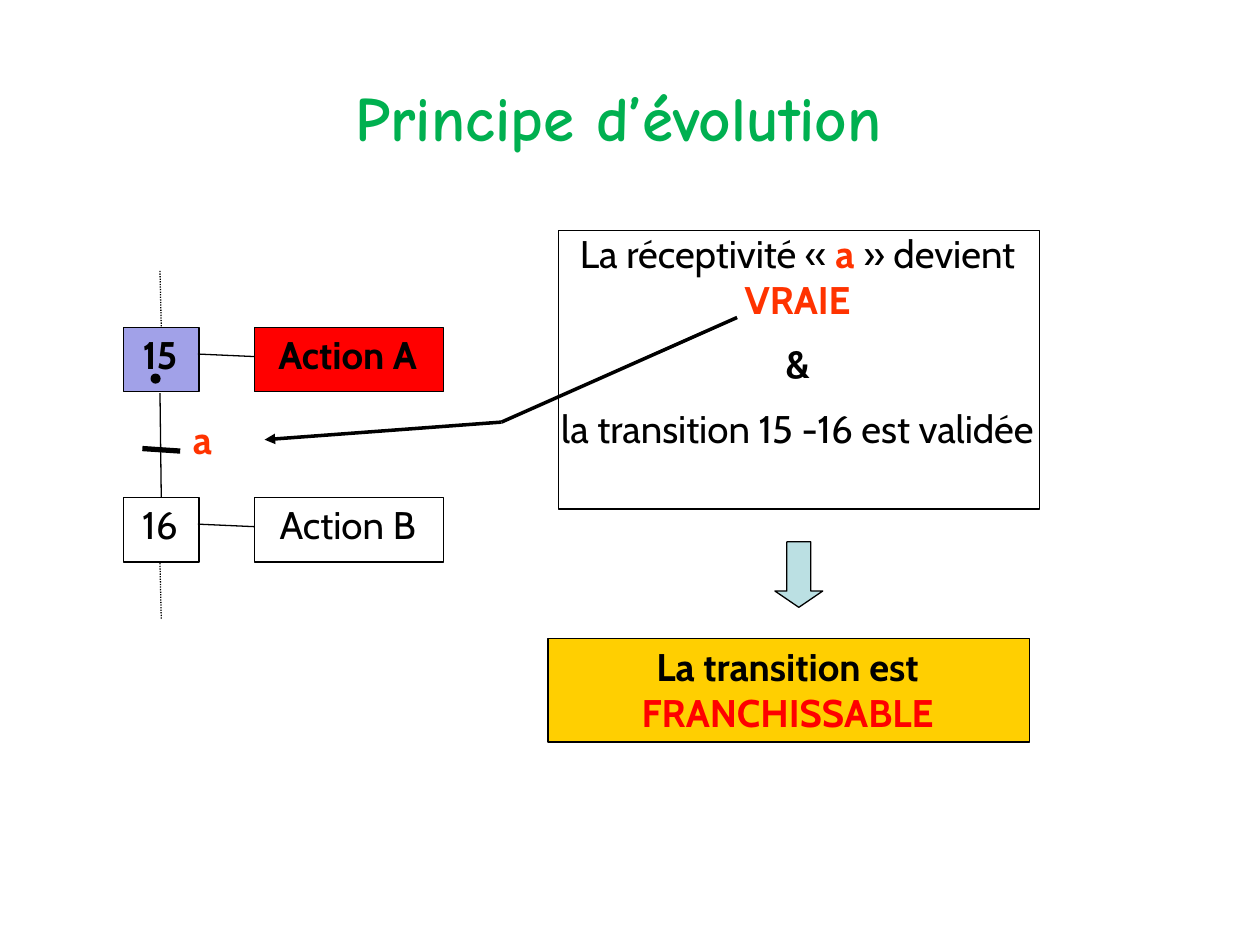
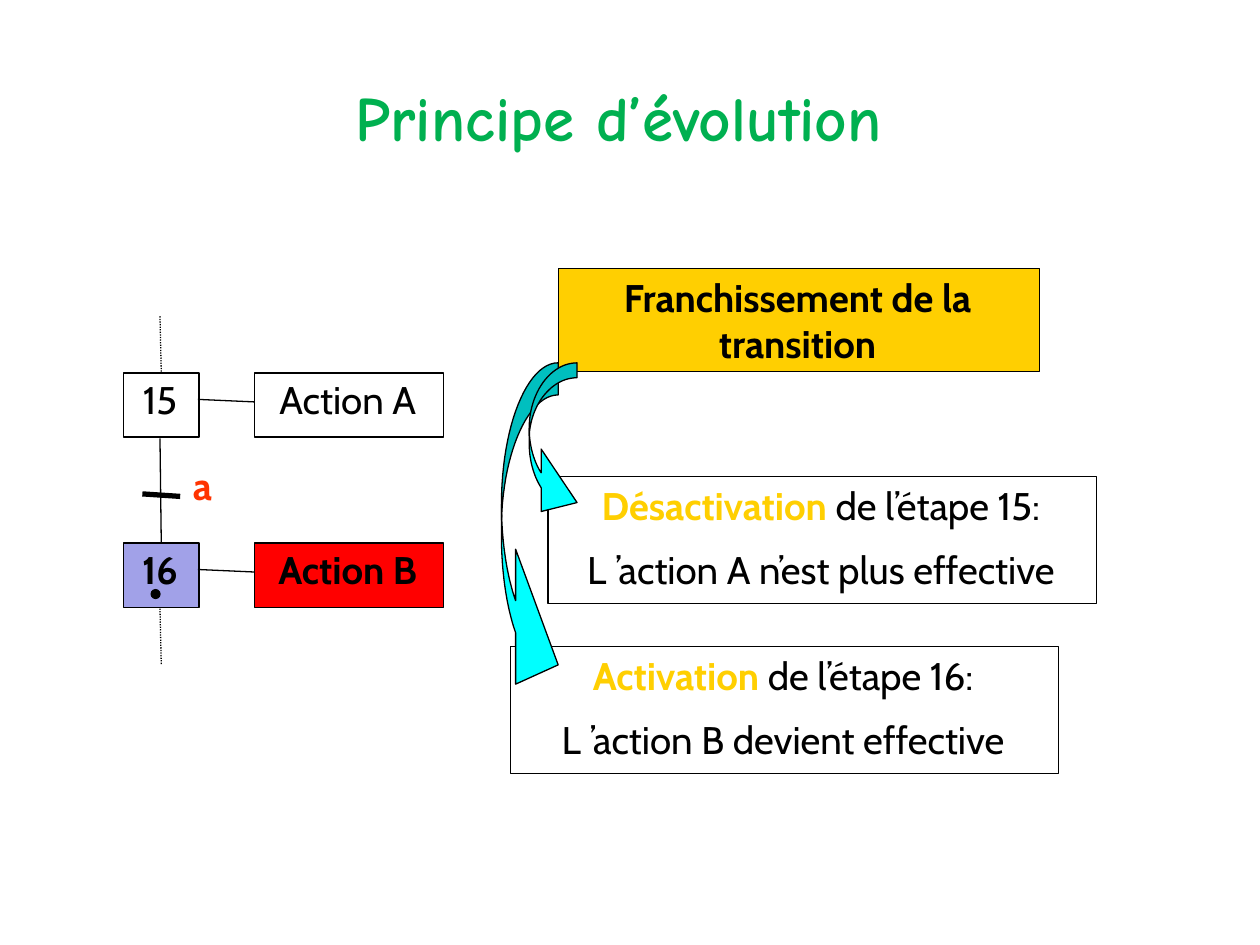
import dataclasses

import pptx
import pptx.util
import pptx.dml.color
import pptx.enum.dml
import pptx.enum.shapes
import pptx.enum.text
import pptx.oxml.ns
import lxml.etree

Inches, Pt = pptx.util.Inches, pptx.util.Pt
RGB = pptx.dml.color.RGBColor.from_string
SHAPE = pptx.enum.shapes.MSO_SHAPE
ALIGN = pptx.enum.text.PP_ALIGN
ANCHOR = pptx.enum.text.MSO_ANCHOR
DOT = pptx.enum.dml.MSO_LINE.ROUND_DOT
qn = pptx.oxml.ns.qn


@dataclasses.dataclass(frozen=True)
class Theme:
    title_font: str = "Comic Neue"
    body_font: str = "Cabin"
    title_size: float = 36
    body_size: float = 22
    body_leading: float = 26.1
    paragraph_gap: float = 10.7
    outline: float = 0.75
    title: str = "00B050"
    ink: str = "000000"
    true_value: str = "FF3300"
    active_step: str = "A1A1E8"
    active_action: str = "FF0000"
    gold: str = "FFCF01"
    down_arrow: str = "BBE0E3"
    arrow_head: str = "00FFFF"
    arrow_tail: str = "00BFBF"


T = Theme()


def style_shape(sp, fill=None):
    sp.shadow.inherit = False
    sp.line.color.rgb = RGB(T.ink)
    sp.line.width = Pt(T.outline)
    if fill:
        sp.fill.solid()
        sp.fill.fore_color.rgb = RGB(fill)
    else:
        sp.fill.background()


def write_text(sp, paragraphs, top=0, align=ALIGN.CENTER):
    """Fill a shape with body text; each paragraph is a list of (text, colour, bold)."""
    tf = sp.text_frame
    tf.word_wrap = True
    tf.vertical_anchor = ANCHOR.TOP
    tf.margin_left, tf.margin_right = Inches(0.02), Inches(0.04)
    tf.margin_top, tf.margin_bottom = Inches(top), 0
    for i, runs in enumerate(paragraphs):
        p = tf.add_paragraph() if i else tf.paragraphs[0]
        p.alignment = align
        p.line_spacing = Pt(T.body_leading)
        if i < len(paragraphs) - 1:
            p.space_after = Pt(T.paragraph_gap)
        for text, color, bold in runs:
            r = p.add_run()
            r.text = text
            r.font.name, r.font.size, r.font.bold = T.body_font, Pt(T.body_size), bold
            r.font.color.rgb = RGB(color)


# Per slide: top of the first step, active step, and
# boxes as (left, top, width, height, fill, text inset, paragraphs)
SLIDES = [
    (2.6, "15", [
        (4.43, 1.83, 3.82, 2.21, None, 0, [
            [("La réceptivité « ", T.ink, False), ("a", T.true_value, True),
             (" » devient ", T.ink, False), ("VRAIE", T.true_value, True)],
            [("&", T.ink, True)],
            [("la transition 15 -16 est validée", T.ink, False)]]),
        (4.35, 5.07, 3.82, 0.82, T.gold, 0.04, [
            [("La transition est ", T.ink, True),
             ("FRANCHISSABLE", T.active_action, True)]]),
    ]),
    (2.96, "16", [
        (4.43, 2.13, 3.82, 0.82, T.gold, 0.05, [
            [("Franchissement de la transition", T.ink, True)]]),
        (4.05, 5.13, 4.35, 1.01, None, 0.05, [
            [("Activation ", T.gold, True), ("de l’étape 16:", T.ink, False)],
            [("L ’action B devient effective", T.ink, False)]]),
        (4.35, 3.78, 4.35, 1.01, None, 0.05, [
            [("Désactivation", T.gold, True), (" de l’étape 15:", T.ink, False)],
            [("L ’action A n’est plus effective", T.ink, False)]]),
    ]),
]
STEPS = [("15", "Action A"), ("16", "Action B")]
STEP_PITCH = 1.35

prs = pptx.Presentation()
prs.slide_width, prs.slide_height = Inches(10), Inches(7.5)
pages = []

for grafcet_top, active, boxes in SLIDES:
    s = prs.slides.add_slide(prs.slide_layouts[6])
    pages.append(s)

    title = s.shapes.add_textbox(Inches(0.5), Inches(0.3), Inches(9), Inches(1.25))
    title.text_frame.word_wrap = True
    title.text_frame.vertical_anchor = ANCHOR.MIDDLE
    p = title.text_frame.paragraphs[0]
    p.text = "Principe d’évolution "
    p.alignment = ALIGN.CENTER
    font = p.runs[0].font
    font.name, font.size, font.bold = T.title_font, Pt(T.title_size), True
    font.color.rgb = RGB(T.title)

    # Steps and their actions join the other boxes of the slide
    boxes = list(boxes)
    y = grafcet_top
    lines = [  # from x, from y, to x, to y, width, dash, arrowhead
        (1.27, y - 0.45, 1.28, y, T.outline, DOT, False),
        (1.27, y + 0.52, 1.28, y + STEP_PITCH, T.outline, None, False),
        (1.13, y + 0.96, 1.43, y + 0.98, 3, None, False),
        (1.27, y + 1.87, 1.28, y + 2.32, T.outline, DOT, False),
    ]
    for i, (step, action) in enumerate(STEPS):
        step_top = grafcet_top + i * STEP_PITCH
        on = step == active
        boxes += [
            (0.98, step_top, 0.6, 0.51, T.active_step if on else None, 0.03,
             [[(step, T.ink, on)]]),
            (2.02, step_top, 1.5, 0.51, T.active_action if on else None, 0.03,
             [[(action, T.ink, on)]]),
        ]
        lines.append((1.57, step_top + 0.21, 2.02, step_top + 0.23,
                      T.outline, None, False))
        if on:
            token_top = step_top + 0.37
    if active == "15":
        lines += [(3.98, 3.35, 2.1, 3.49, 2, None, True),
                  (3.98, 3.35, 5.85, 2.52, 2, None, False)]

    for left, top, width, height, fill, inset, paragraphs in boxes:
        sp = s.shapes.add_shape(SHAPE.RECTANGLE, Inches(left), Inches(top),
                                Inches(width), Inches(height))
        style_shape(sp, fill)
        write_text(sp, paragraphs, inset)

    for x1, y1, x2, y2, width, dash, arrowhead in lines:
        line = s.shapes.add_connector(pptx.enum.shapes.MSO_CONNECTOR.STRAIGHT,
                                      Inches(x1), Inches(y1), Inches(x2), Inches(y2))
        line.line.color.rgb = RGB(T.ink)
        line.line.width = Pt(width)
        if dash:
            line.line.dash_style = dash
        if arrowhead:
            lxml.etree.SubElement(line.line._get_or_add_ln(), qn("a:tailEnd"),
                                  type="triangle")
        lxml.etree.SubElement(line._element.spPr, qn("a:effectLst"))

    token = s.shapes.add_shape(SHAPE.OVAL, Inches(1.2), Inches(token_top),
                               Inches(0.07), Inches(0.07))
    style_shape(token, T.ink)

    receptivity = s.shapes.add_textbox(Inches(1.51), Inches(grafcet_top + 0.71),
                                       Inches(0.38), Inches(0.36))
    write_text(receptivity, [[("a", T.true_value, True)]], align=ALIGN.LEFT)

evolution, crossing = pages

down = evolution.shapes.add_shape(SHAPE.DOWN_ARROW, Inches(6.15), Inches(4.3),
                                  Inches(0.38), Inches(0.52))
down.adjustments[0], down.adjustments[1] = 0.5, 0.34
style_shape(down, T.down_arrow)

# Curved arrow in a unit square: a start point, then straight segments of one
# point or Bézier segments of three points
HEAD = [(0, 0.54), [(0, 0.65), (0.09, 0.76), (0.25, 0.84)], [(0.25, 1)], [(1, 0.94)],
        [(0.25, 0.58)], [(0.25, 0.74)], [(0.09, 0.66), (0, 0.55), (0, 0.44)]]
TAIL = [(1, 0), [(0.45, 0), (0, 0.2), (0, 0.44)], [(0, 0.49)],
        [(0.04, 0.27), (0.49, 0.1), (1, 0.1)]]
CURVE_STEPS = 24

for left, top, width, height in [(3.98, 2.88, 0.45, 2.55), (4.2, 2.88, 0.38, 1.18)]:
    for outline, fill in [(HEAD, T.arrow_head), (TAIL, T.arrow_tail)]:
        points = [outline[0]]
        for segment in outline[1:]:
            if len(segment) == 1:
                points += segment
                continue
            a, (b, c, d) = points[-1], segment
            for n in range(1, CURVE_STEPS + 1):
                t = n / CURVE_STEPS
                u = 1 - t
                points.append(tuple(
                    u**3 * a[k] + 3 * u * u * t * b[k] + 3 * u * t * t * c[k] + t**3 * d[k]
                    for k in (0, 1)))
        points = [(Inches(left + width * px), Inches(top + height * py))
                  for px, py in points]
        fb = crossing.shapes.build_freeform(*points[0])
        fb.add_line_segments(points[1:], close=True)
        style_shape(fb.convert_to_shape(), fill)

prs.save("out.pptx")
